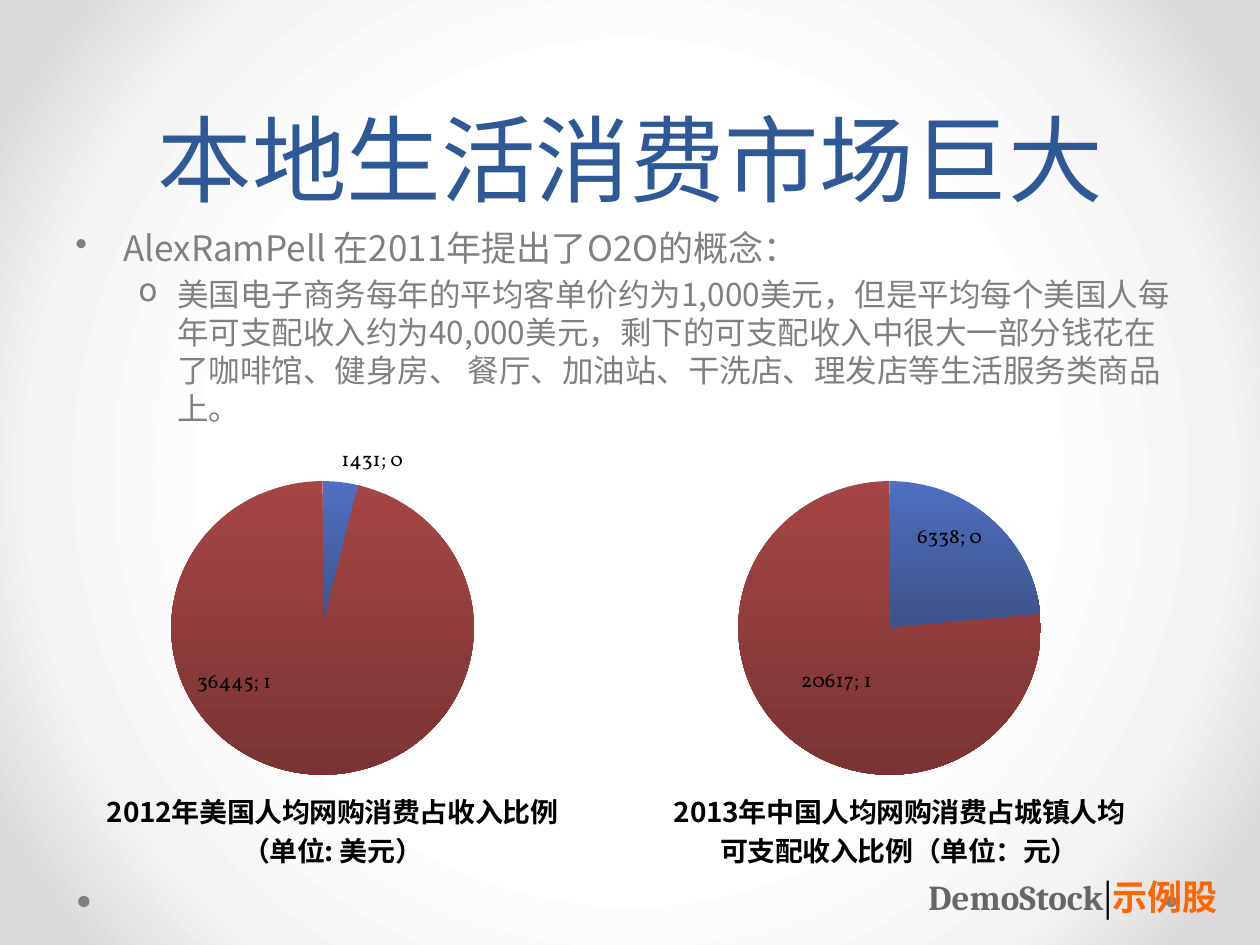
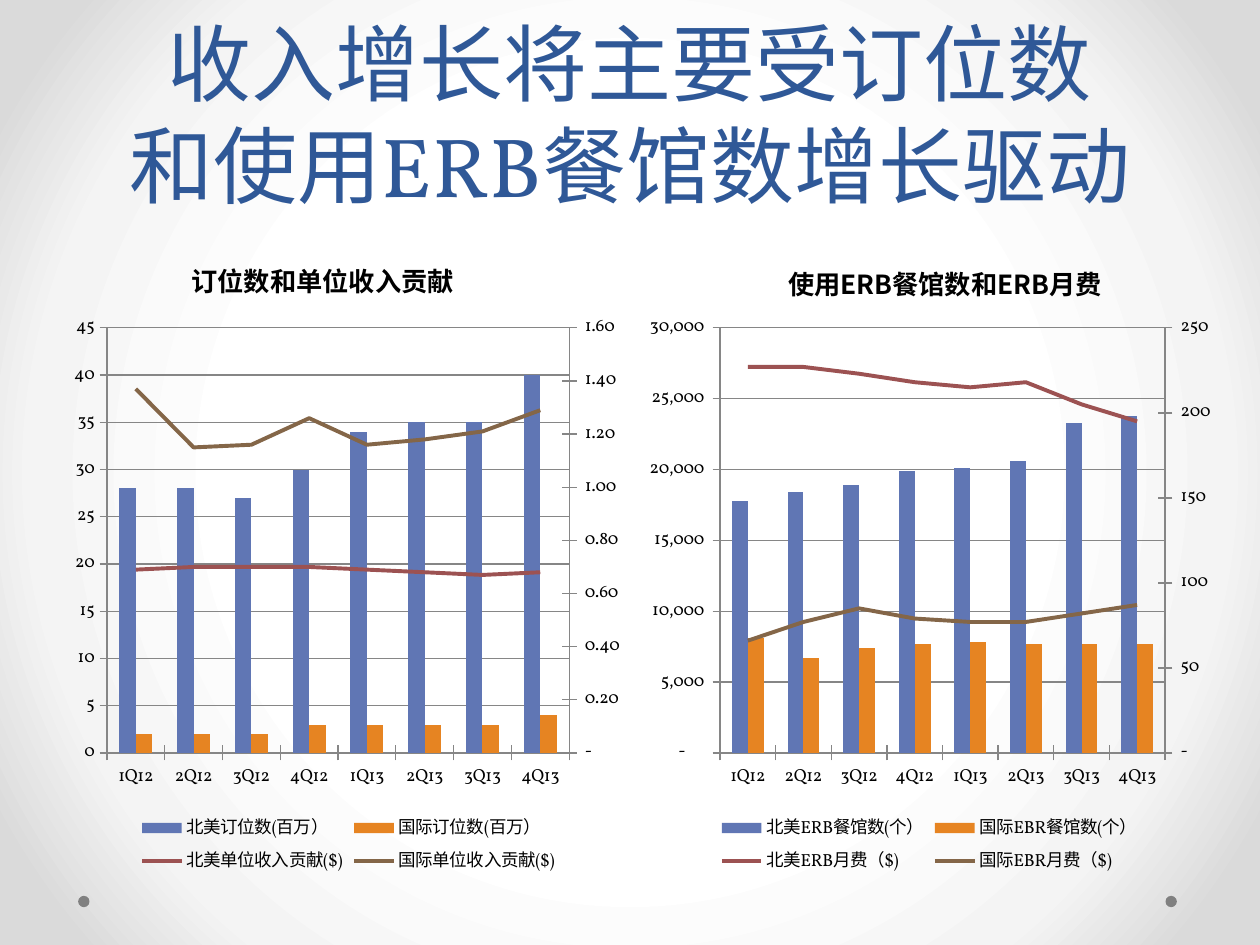
from pptx import Presentation
from pptx.chart.data import CategoryChartData
from pptx.dml.color import RGBColor
from pptx.enum.chart import XL_CHART_TYPE as ChartType
from pptx.enum.chart import XL_LEGEND_POSITION as LegendPosition
from pptx.enum.chart import XL_MARKER_STYLE as MarkerStyle
from pptx.enum.chart import XL_TICK_MARK as TickMark
from pptx.enum.shapes import MSO_SHAPE as Shape
from pptx.enum.text import MSO_ANCHOR as Anchor
from pptx.enum.text import MSO_AUTO_SIZE as AutoSize
from pptx.enum.text import PP_ALIGN as Align
from pptx.oxml import parse_xml
from pptx.oxml.ns import nsdecls, qn
from pptx.util import Inches, Pt

COLORS = {
    "title": "2F5897", "body": "808080", "black": "000000", "axis": "868686",
    "blue": "6076B4", "orange": "E68422", "red": "9C5252", "brown": "846648",
    "brand": "666666", "accent": "FF6600",
    "pie_blue_top": "4F6FC1", "pie_blue_bottom": "3D5289",
    "pie_red_top": "A54545", "pie_red_bottom": "7A3434",
}
BACKGROUND_STOPS = [(50, "FFFFFF"), (76, "F4F4F4"), (92, "DADADA")]
SERIF, SANS, LATIN = "Vollkorn", "Noto Sans CJK SC", "Cambria"
QUARTERS = [f"{quarter}Q{year}" for year in (12, 13) for quarter in range(1, 5)]


def accounting(digits):
    return f'_ * {digits}_ ;_ * \\-{digits}_ ;_ * "-"??_ ;_ '


def rgb(name):
    return RGBColor.from_string(COLORS[name])


def set_font(font, name, size, color, bold=False):
    font.name, font.size, font.bold = name, Pt(size), bold
    font.color.rgb = rgb(color)


# Shared slide parts
def set_background(master):
    master.background.fill.solid()
    properties = master.element.find(".//" + qn("p:bgPr"))
    stops = "".join(
        f'<a:gs pos="{position * 1000}"><a:srgbClr val="{color}"/></a:gs>'
        for position, color in BACKGROUND_STOPS)
    gradient = parse_xml(
        f'<a:gradFill {nsdecls("a")} rotWithShape="1"><a:gsLst>{stops}</a:gsLst>'
        '<a:path path="circle"><a:fillToRect l="50000" t="50000" r="50000" '
        'b="50000"/></a:path></a:gradFill>')
    properties.replace(properties[0], gradient)


def add_titled_slide(presentation, text, size):
    slide = presentation.slides.add_slide(presentation.slide_layouts[5])
    for left in (9.25, 0.62):
        dot = slide.shapes.add_shape(Shape.OVAL, Inches(left), Inches(7.11),
                                     Inches(0.09), Inches(0.09))
        dot.shadow.inherit = False
        dot.fill.solid()
        dot.fill.fore_color.rgb = rgb("body")
        dot.line.fill.background()
    title = slide.shapes.title
    title.left, title.top = Inches(0.5), Inches(0)
    title.width, title.height = Inches(9), Inches(1.75)
    frame = title.text_frame
    frame.text = text
    frame.word_wrap, frame.auto_size = True, AutoSize.NONE
    frame.vertical_anchor = Anchor.BOTTOM
    paragraph = frame.paragraphs[0]
    paragraph.alignment, paragraph.line_spacing = Align.CENTER, Pt(58)
    set_font(paragraph.font, SERIF, size, "title")
    return slide


def add_text_frame(slide, box):
    frame = slide.shapes.add_textbox(*map(Inches, box)).text_frame
    frame.word_wrap = True
    return frame


def add_bullets(slide, box, items):
    frame = add_text_frame(slide, box)
    for index, (text, bullet, size, margin, hanging, spacing) in enumerate(items):
        paragraph = frame.add_paragraph() if index else frame.paragraphs[0]
        paragraph.text = text
        paragraph.level = index
        paragraph.line_spacing, paragraph.space_before = Pt(spacing), Pt(3.6)
        set_font(paragraph.font, SANS, size, "body")
        properties = paragraph._p.get_or_add_pPr()
        properties.set("marL", str(Inches(margin)))
        properties.set("indent", str(-Inches(hanging)))
        properties.find(qn("a:defRPr")).addprevious(
            parse_xml(f'<a:buChar {nsdecls("a")} char="{bullet}"/>'))


def add_brand(slide, box):
    paragraph = add_text_frame(slide, box).paragraphs[0]
    paragraph.alignment = Align.JUSTIFY
    paragraph.space_before = paragraph.space_after = Pt(3.8)
    for text, name, color, bold in (("DemoStock", LATIN, "brand", True),
                                    ("|", SANS, "black", False),
                                    ("示例股", SANS, "accent", True)):
        run = paragraph.add_run()
        run.text = text
        set_font(run.font, name, 20, color, bold)


def add_caption(slide, box, text):
    paragraph = add_text_frame(slide, box).paragraphs[0]
    paragraph.text = text
    paragraph.alignment = Align.CENTER
    set_font(paragraph.font, SANS, 15, "black", True)


# Chart helpers
def manual_layout(x, y, width=None, height=None, inner=False, edge=True):
    parts = ['<c:layoutTarget val="inner"/>'] if inner else []
    if edge:
        parts += ['<c:xMode val="edge"/>', '<c:yMode val="edge"/>']
    parts += [f'<c:{tag} val="{value}"/>'
              for tag, value in zip("xywh", (x, y, width, height)) if value is not None]
    return (f'<c:layout {nsdecls("c")}><c:manualLayout>{"".join(parts)}'
            '</c:manualLayout></c:layout>')


def set_layout(element, index, layout):
    for old in element.findall(qn("c:layout")):
        element.remove(old)
    element.insert(index, parse_xml(layout))


def add_chart(slide, box, kind, categories, series, size, plot_box):
    data = CategoryChartData()
    data.categories = categories
    for name, values in series:
        data.add_series(name, values)
    chart = slide.shapes.add_chart(kind, *map(Inches, box), data).chart
    set_font(chart.font, SERIF, size, "black")
    plot_area = chart.element.find(".//" + qn("c:plotArea"))
    set_layout(plot_area, 0, manual_layout(*plot_box, inner=True))
    return chart, plot_area


def pie_labels(first_position, second_shift):
    flags = "".join(
        f'<c:show{name} val="{int(name in ("Val", "Percent"))}"/>'
        for name in ("LegendKey", "Val", "CatName", "SerName", "Percent", "BubbleSize"))
    style = ('<c:numFmt formatCode="#,##0_ " sourceLinked="0"/><c:txPr><a:bodyPr/><a:p>'
             '<a:pPr><a:defRPr sz="1200" b="0"/></a:pPr><a:endParaRPr/></a:p></c:txPr>')
    shift = manual_layout(*second_shift, edge=False) if second_shift else ""
    points = "".join(
        f'<c:dLbl><c:idx val="{index}"/>{layout}{style}<c:dLblPos val="{position}"/>'
        f'{flags}<c:separator>; </c:separator></c:dLbl>'
        for index, (layout, position) in enumerate((("", first_position), (shift, "ctr"))))
    return parse_xml(f'<c:dLbls {nsdecls("c", "a")}>{points}{style}{flags}'
                     '<c:separator>; </c:separator></c:dLbls>')


def add_share_pie(slide, box, title, values, first_position, second_shift=None):
    chart, _ = add_chart(slide, box, ChartType.PIE, ["1", "2"],
                         [("Series 1", values)], 18, (0.227, 0.13, 0.51, 0.67))
    chart.has_legend = False
    chart.has_title = True
    frame = chart.chart_title.text_frame
    frame.text = title
    set_font(frame.paragraphs[0].font, SANS, 16, "black", True)
    set_layout(chart.element.find(".//" + qn("c:title")), 1, manual_layout(0.11, 0.82))
    series = chart.plots[0].series[0]
    for index, color in enumerate(("blue", "red")):
        fill = series.points[index].format.fill
        fill.gradient()
        fill.gradient_angle = 270
        for stop, edge in zip(fill.gradient_stops, ("top", "bottom")):
            stop.color.rgb = rgb(f"pie_{color}_{edge}")
    category = series._element.find(qn("c:cat"))
    category.addprevious(pie_labels(first_position, second_shift))


def move_to_second_axis(plot_area, maximum, step, number_format):
    """Turn the last two column series into lines on a right-hand axis."""
    bars = plot_area.find(qn("c:barChart"))
    lines = parse_xml(
        f'<c:lineChart {nsdecls("c")}><c:grouping val="standard"/><c:varyColors val="0"/>'
        '<c:marker val="1"/><c:axId val="5001"/><c:axId val="5002"/></c:lineChart>')
    line_marker = lines.find(qn("c:marker"))
    for series in bars.findall(qn("c:ser"))[2:]:
        for bar_setting in series.findall(qn("c:invertIfNegative")):
            series.remove(bar_setting)
        line_marker.addprevious(series)
    bars.addnext(lines)
    number_format = number_format.replace('"', "&quot;")
    axes = parse_xml(
        f'<c:axes {nsdecls("c", "a")}><c:catAx><c:axId val="5001"/><c:scaling>'
        '<c:orientation val="minMax"/></c:scaling><c:delete val="1"/><c:axPos val="b"/>'
        '<c:crossAx val="5002"/><c:crosses val="autoZero"/></c:catAx>'
        '<c:valAx><c:axId val="5002"/><c:scaling><c:orientation val="minMax"/>'
        f'<c:max val="{maximum}"/><c:min val="0"/></c:scaling><c:delete val="0"/>'
        f'<c:axPos val="r"/><c:numFmt formatCode="{number_format}" sourceLinked="0"/>'
        '<c:majorTickMark val="cross"/><c:minorTickMark val="none"/>'
        '<c:tickLblPos val="nextTo"/><c:spPr><a:ln w="9525"><a:solidFill>'
        f'<a:srgbClr val="{COLORS["axis"]}"/></a:solidFill></a:ln></c:spPr>'
        '<c:crossAx val="5001"/><c:crosses val="max"/><c:crossBetween val="between"/>'
        f'<c:majorUnit val="{step}"/></c:valAx></c:axes>')
    last_axis = plot_area.find(qn("c:valAx"))
    for axis in reversed(list(axes)):
        last_axis.addnext(axis)


def add_combined_chart(slide, box, plot_box, series, left_scale, right_scale):
    chart, plot_area = add_chart(slide, box, ChartType.COLUMN_CLUSTERED, QUARTERS,
                                 series, 10, plot_box)
    chart.has_title = False
    chart.has_legend = True
    chart.legend.position = LegendPosition.BOTTOM
    chart.legend.include_in_layout = False
    # Left and bottom axes
    value_axis = chart.value_axis
    maximum, step, number_format = left_scale
    value_axis.minimum_scale, value_axis.maximum_scale = 0, maximum
    value_axis.major_unit = step
    value_axis.tick_labels.number_format = number_format
    value_axis.tick_labels.number_format_is_linked = False
    value_axis.has_major_gridlines = True
    for axis in (value_axis, chart.category_axis):
        axis.major_tick_mark = TickMark.CROSS
    for line in (value_axis.format.line, chart.category_axis.format.line,
                 value_axis.major_gridlines.format.line):
        line.color.rgb, line.width = rgb("axis"), Pt(0.75)
    # Columns and lines
    move_to_second_axis(plot_area, *right_scale)
    columns, lines = chart.plots
    columns.gap_width, columns.overlap = 150, 0
    columns.vary_by_categories = False
    for column, color in zip(columns.series, ("blue", "orange")):
        column.format.fill.solid()
        column.format.fill.fore_color.rgb = rgb(color)
    for line, color in zip(lines.series, ("red", "brown")):
        line.format.line.color.rgb = rgb(color)
        line.format.line.width = Pt(2.25)
        line.marker.style = MarkerStyle.NONE
        line.smooth = False


# Slides
def build_market_slide(presentation):
    slide = add_titled_slide(presentation, "本地生活消费市场巨大", 54)
    add_bullets(slide, (0.5, 1.75, 9, 1.6), [
        ("AlexRamPell 在2011年提出了O2O的概念：", "•", 20, 0.38, 0.38, 24),
        ("美国电子商务每年的平均客单价约为1,000美元，但是平均每个美国人每年可支配收入约为"
         "40,000美元，剩下的可支配收入中很大一部分钱花在了咖啡馆、健身房、 餐厅、加油站、"
         "干洗店、理发店等生活服务类商品上。", "o", 18, 0.81, 0.31, 21.7),
    ])
    add_share_pie(slide, (0.29, 3.36, 4.71, 3.6),
                  "2012年美国人均网购消费占收入比例（单位: 美元）",
                  (1431, 36445), "outEnd", (-0.13, -0.04))
    add_brand(slide, (7.27, 6.9, 2.73, 0.6))
    add_share_pie(slide, (4.79, 3.36, 4.71, 3.6),
                  "2013年中国人均网购消费占城镇人均可支配收入比例（单位：元）",
                  (6338, 20617), "inEnd")


def build_growth_slide(presentation):
    slide = add_titled_slide(
        presentation, "收入增长将主要受订位数\v和使用ERB餐馆数增长驱动", 48)
    add_combined_chart(slide, (0.5, 2.42, 4.53, 4.56), (0.077, 0.04, 0.81, 0.74), [
        ("北美订位数(百万）", (28, 28, 27, 30, 34, 35, 35, 40)),
        ("国际订位数(百万）", (2, 2, 2, 3, 3, 3, 3, 4)),
        ("北美单位收入贡献($)", (0.69, 0.7, 0.7, 0.7, 0.69, 0.68, 0.67, 0.68)),
        ("国际单位收入贡献($)", (1.37, 1.15, 1.16, 1.26, 1.16, 1.18, 1.21, 1.29)),
    ], (45, 5, "0"), (1.6, 0.2, accounting("#,##0.00")))
    add_combined_chart(slide, (5.03, 2.42, 4.69, 4.56), (0.146, 0.04, 0.753, 0.74), [
        ("北美ERB餐馆数(个）",
         (17800, 18400, 18900, 19900, 20100, 20600, 23300, 23800)),
        ("国际EBR餐馆数(个）", (8100, 6700, 7400, 7700, 7800, 7700, 7700, 7700)),
        ("北美ERB月费（$)", (227, 227, 223, 218, 215, 218, 205, 195)),
        ("国际EBR月费（$)", (66, 77, 85, 79, 77, 77, 82, 87)),
    ], (30000, 5000, accounting("#,##0")), (250, 50, accounting("#,##0")))
    add_caption(slide, (0.7, 2.06, 3.72, 0.35), "订位数和单位收入贡献")
    add_caption(slide, (5.64, 2.08, 3.72, 0.35), "使用ERB餐馆数和ERB月费")


def main():
    presentation = Presentation()
    presentation.slide_width, presentation.slide_height = Inches(10), Inches(7.5)
    set_background(presentation.slide_master)
    build_market_slide(presentation)
    build_growth_slide(presentation)
    presentation.save("out.pptx")


if __name__ == "__main__":
    main()
